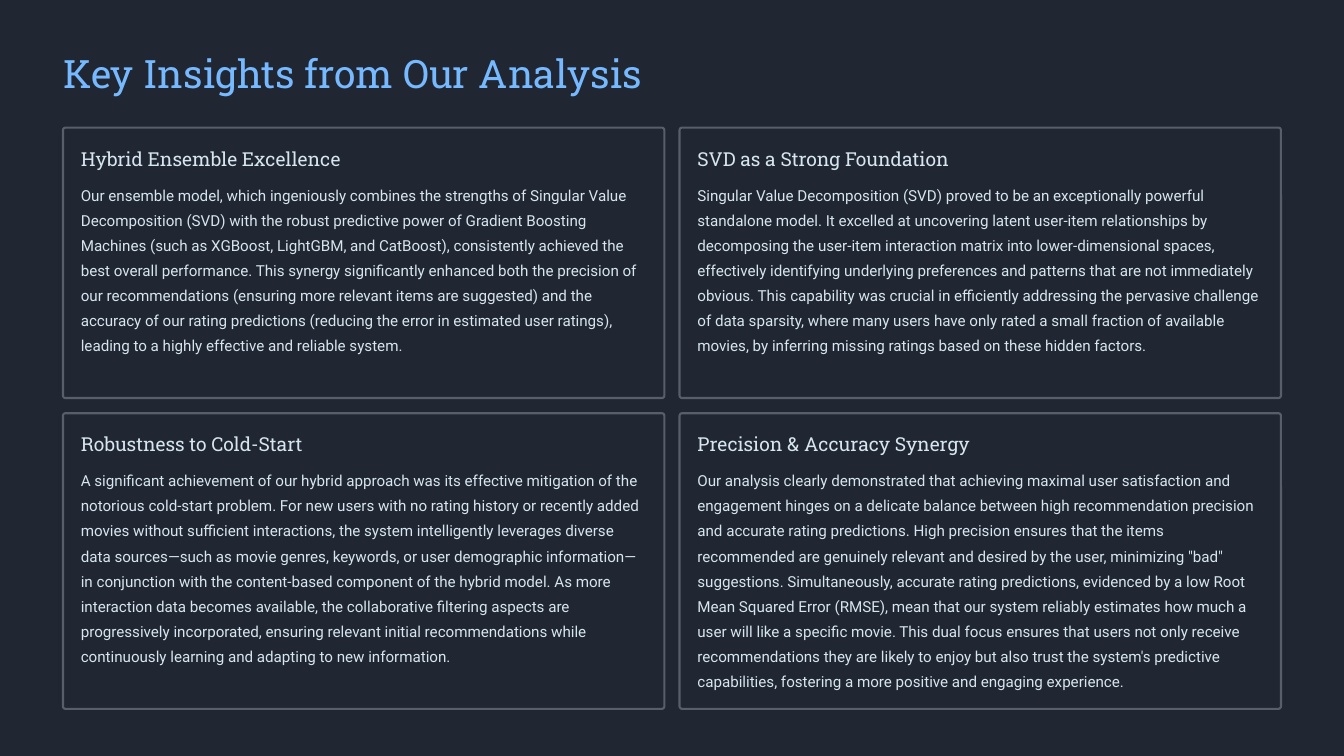
import dataclasses

import pptx
import pptx.dml.color
import pptx.enum.shapes
import pptx.enum.text
import pptx.util

Pt = pptx.util.Pt

NIGHT, BLUE, PALE, GREY = "202733", "76B9FF", "D6E5EF", "585F6B"
LEFT, TOP = 54, 109.4
WIDTH, GAP, PAD = 515.5, 13, 15.3
HEIGHTS = (231.8, 253.4)
RADIUS = 2.1


@dataclasses.dataclass(frozen=True)
class Style:
    font: str
    size: float
    color: str
    pitch: float


@dataclasses.dataclass(frozen=True)
class Card:
    head: str
    body: str


TITLE = Style("Roboto Slab", 33.5, BLUE, 42)
HEAD = Style("Roboto Slab", 16.5, PALE, 21)
BODY = Style("Roboto", 13, PALE, 21.5)

CARDS = (
    Card(
        "Hybrid Ensemble Excellence",
        "Our ensemble model, which ingeniously combines the strengths of Singular Value "
        "Decomposition (SVD) with the robust predictive power of Gradient Boosting Machines "
        "(such as XGBoost, LightGBM, and CatBoost), consistently achieved the best overall "
        "performance. This synergy significantly enhanced both the precision of our "
        "recommendations (ensuring more relevant items are suggested) and the accuracy of our "
        "rating predictions (reducing the error in estimated user ratings), leading to a "
        "highly effective and reliable system.",
    ),
    Card(
        "SVD as a Strong Foundation",
        "Singular Value Decomposition (SVD) proved to be an exceptionally powerful standalone "
        "model. It excelled at uncovering latent user-item relationships by decomposing the "
        "user-item interaction matrix into lower-dimensional spaces, effectively identifying "
        "underlying preferences and patterns that are not immediately obvious. This capability "
        "was crucial in efficiently addressing the pervasive challenge of data sparsity, where "
        "many users have only rated a small fraction of available movies, by inferring missing "
        "ratings based on these hidden factors.",
    ),
    Card(
        "Robustness to Cold-Start",
        "A significant achievement of our hybrid approach was its effective mitigation of the "
        "notorious cold-start problem. For new users with no rating history or recently added "
        "movies without sufficient interactions, the system intelligently leverages diverse "
        "data sources—such as movie genres, keywords, or user demographic information—in "
        "conjunction with the content-based component of the hybrid model. As more interaction "
        "data becomes available, the collaborative filtering aspects are progressively "
        "incorporated, ensuring relevant initial recommendations while continuously learning "
        "and adapting to new information.",
    ),
    Card(
        "Precision & Accuracy Synergy",
        "Our analysis clearly demonstrated that achieving maximal user satisfaction and "
        "engagement hinges on a delicate balance between high recommendation precision and "
        "accurate rating predictions. High precision ensures that the items recommended are "
        "genuinely relevant and desired by the user, minimizing \"bad\" suggestions. "
        "Simultaneously, accurate rating predictions, evidenced by a low Root Mean Squared "
        "Error (RMSE), mean that our system reliably estimates how much a user will like a "
        "specific movie. This dual focus ensures that users not only receive recommendations "
        "they are likely to enjoy but also trust the system's predictive capabilities, "
        "fostering a more positive and engaging experience.",
    ),
)


def paint(target, color: str) -> None:
    """Give a fill or line one solid colour."""
    fill = target.fill if hasattr(target, "fill") else target
    fill.solid()
    fill.fore_color.rgb = pptx.dml.color.RGBColor.from_string(color)


def write(shape, text: str, style: Style) -> None:
    frame = shape.text_frame
    frame.margin_left = frame.margin_right = frame.margin_top = frame.margin_bottom = 0
    frame.word_wrap = True
    frame.auto_size = pptx.enum.text.MSO_AUTO_SIZE.NONE
    frame.vertical_anchor = pptx.enum.text.MSO_ANCHOR.TOP
    para = frame.paragraphs[0]
    para.alignment = pptx.enum.text.PP_ALIGN.LEFT
    para.line_spacing = Pt(style.pitch)
    run = para.add_run()
    run.text = text
    run.font.name = style.font
    run.font.size = Pt(style.size)
    paint(run.font, style.color)


def label(slide, text: str, style: Style, x: float, y: float, high: float) -> None:
    box = slide.shapes.add_textbox(Pt(x), Pt(y), Pt(WIDTH - 2 * PAD), Pt(high))
    write(box, text, style)


def draw(slide, card: Card, x: float, y: float, high: float) -> None:
    frame = slide.shapes.add_shape(
        pptx.enum.shapes.MSO_SHAPE.ROUNDED_RECTANGLE, Pt(x), Pt(y), Pt(WIDTH), Pt(high)
    )
    frame.adjustments[0] = RADIUS / high
    frame.shadow.inherit = False
    frame.fill.background()
    paint(frame.line, GREY)
    frame.line.width = Pt(1.8)
    label(slide, card.head, HEAD, x + PAD, y + PAD, HEAD.pitch)
    label(slide, card.body, BODY, x + PAD, y + 44.2, high - 44.2 - PAD)


def main() -> None:
    deck = pptx.Presentation()
    deck.slide_width, deck.slide_height = Pt(1152), Pt(648)
    slide = deck.slides.add_slide(deck.slide_layouts[5])
    paint(slide.background.fill, NIGHT)

    title = slide.shapes.title
    title.left, title.top = Pt(LEFT), Pt(40.5)
    title.width, title.height = Pt(2 * WIDTH + GAP), Pt(TITLE.pitch)
    write(title, "Key Insights from Our Analysis", TITLE)

    for i, card in enumerate(CARDS):
        row, col = divmod(i, 2)
        x = LEFT + col * (WIDTH + GAP)
        y = TOP + row * (HEIGHTS[0] + GAP)
        draw(slide, card, x, y, HEIGHTS[row])

    deck.save("out.pptx")


if __name__ == "__main__":
    main()
